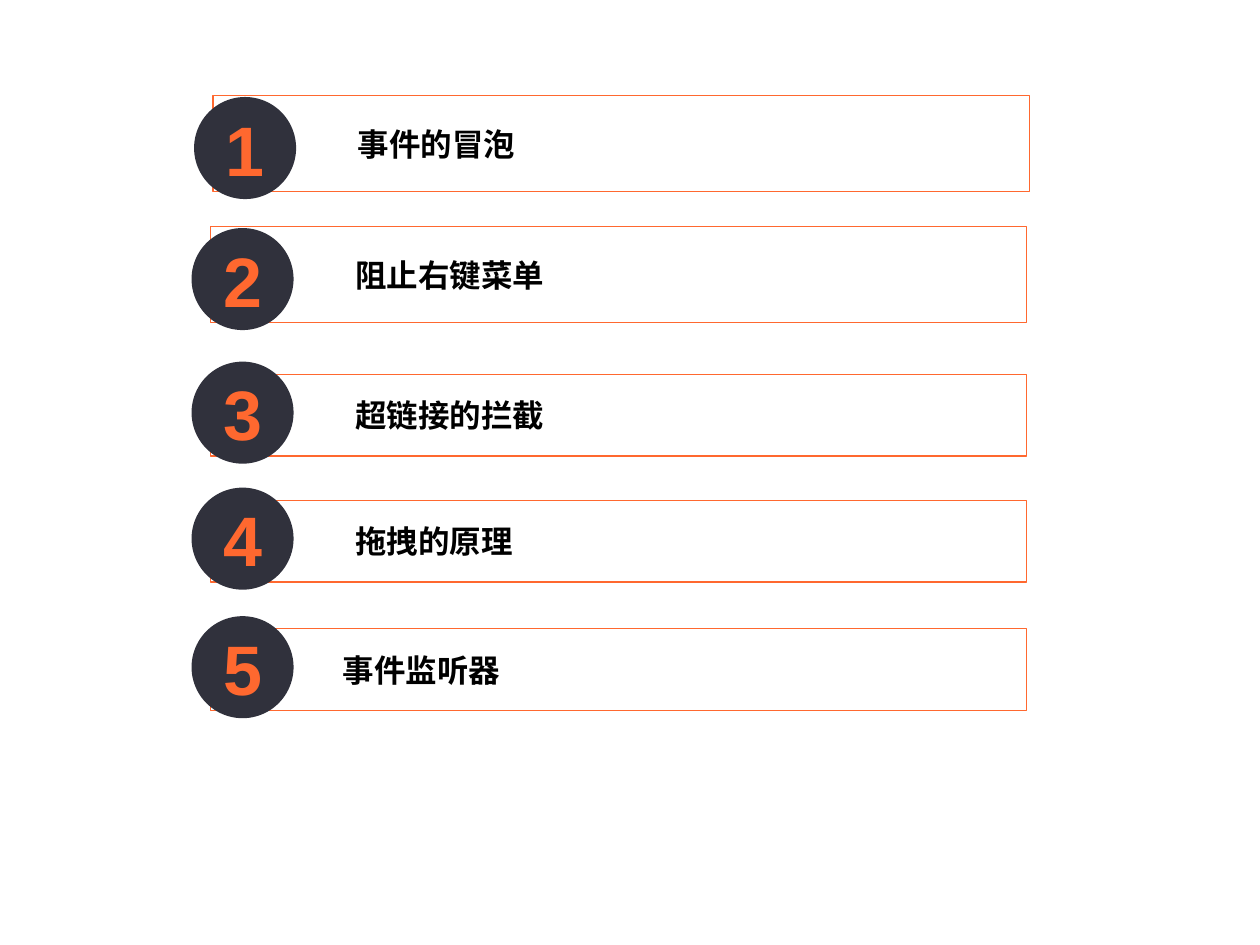
from dataclasses import dataclass

from pptx import Presentation
from pptx.dml.color import RGBColor
from pptx.enum.shapes import MSO_SHAPE as Preset
from pptx.enum.text import MSO_ANCHOR as Anchor, PP_ALIGN as Align
from pptx.oxml.ns import qn
from pptx.oxml.xmlchemy import OxmlElement
from pptx.util import Inches, Pt


@dataclass(frozen=True)
class Theme:
    """Colours and type sizes of the agenda."""
    accent: RGBColor = RGBColor(0xFF, 0x68, 0x2F)
    dark: RGBColor = RGBColor(0x30, 0x31, 0x3C)
    white: RGBColor = RGBColor(0xFF, 0xFF, 0xFF)
    black: RGBColor = RGBColor(0, 0, 0)
    font: str = "Arial"
    topic_size: int = 18
    number_size: int = 40
    bar_opacity: int = 40


THEME = Theme()
BAR_WIDTH, CIRCLE_SIZE, CIRCLE_OVERHANG = 6.48, 0.81, 0.15
TALL, SHORT = 0.76, 0.65
CIRCLE_RISE = {TALL: -0.01, SHORT: 0.1}
AGENDA = [
    ("事件的冒泡", 1.69, 0.76, TALL, 0.5),
    ("阻止右键菜单", 1.67, 1.8, TALL, 0.5),
    ("超链接的拦截", 1.67, 2.97, SHORT, 0.5),
    ("拖拽的原理", 1.67, 3.97, SHORT, 0.5),
    ("事件监听器", 1.67, 4.99, SHORT, 0.4),
]


def set_attributes(target, values):
    """Set every named format value on the target."""
    for name, value in values.items():
        setattr(target, name, value)


def add_box(slide, preset, position, fill):
    """Add a filled preset shape without a shadow."""
    shape = slide.shapes.add_shape(preset, *map(Inches, position))
    shape.shadow.inherit = False
    shape.fill.solid()
    shape.fill.fore_color.rgb = fill
    return shape


def write_text(shape, text, size, color, align, margins):
    """Write one bold, vertically centred paragraph and return it."""
    sides = ("margin_left", "margin_top", "margin_right", "margin_bottom")
    set_attributes(shape.text_frame, {
        "word_wrap": True, "vertical_anchor": Anchor.MIDDLE,
        **dict(zip(sides, map(Inches, margins))),
    })
    paragraph = shape.text_frame.paragraphs[0]
    paragraph.alignment = align
    run = paragraph.add_run()
    run.text = text
    set_attributes(run.font, {"name": THEME.font, "size": Pt(size), "bold": True})
    run.font.color.rgb = color
    return paragraph


def set_opacity(shape, percent):
    """Make the solid fill of a shape partly transparent."""
    color = shape.element.spPr.find(qn("a:solidFill")).find(qn("a:srgbClr"))
    alpha = OxmlElement("a:alpha")
    alpha.set("val", str(percent * 1000))
    color.append(alpha)


def add_bar(slide, topic, left, top, height, indent):
    """Add an outlined bar with an indented topic."""
    bar = add_box(slide, Preset.RECTANGLE, (left, top, BAR_WIDTH, height), THEME.white)
    set_opacity(bar, THEME.bar_opacity)
    bar.line.color.rgb = THEME.accent
    bar.line.width = Pt(0.75)
    paragraph = write_text(bar, topic, THEME.topic_size, THEME.black, Align.LEFT,
                           (0.65, 0.08, 0.08, 0.08))
    set_attributes(paragraph._p.get_or_add_pPr(), {})
    paragraph._p.get_or_add_pPr().set("marL", str(Inches(indent)))


def add_number(slide, number, left, top):
    """Add a dark circle holding the number of a topic."""
    circle = add_box(slide, Preset.OVAL, (left, top, CIRCLE_SIZE, CIRCLE_SIZE), THEME.dark)
    circle.line.fill.background()
    write_text(circle, str(number), THEME.number_size, THEME.accent, Align.CENTER,
               (0.1, 0.05, 0.1, 0.05))


def main():
    """Build the agenda slide and save it."""
    presentation = Presentation()
    set_attributes(presentation, {"slide_width": Inches(10), "slide_height": Inches(7.5)})
    slide = presentation.slides.add_slide(presentation.slide_layouts[6])
    for number, (topic, left, top, height, indent) in enumerate(AGENDA, start=1):
        add_bar(slide, topic, left, top, height, indent)
        add_number(slide, number, left - CIRCLE_OVERHANG, top - CIRCLE_RISE[height])
    presentation.save("out.pptx")


if __name__ == "__main__":
    main()
